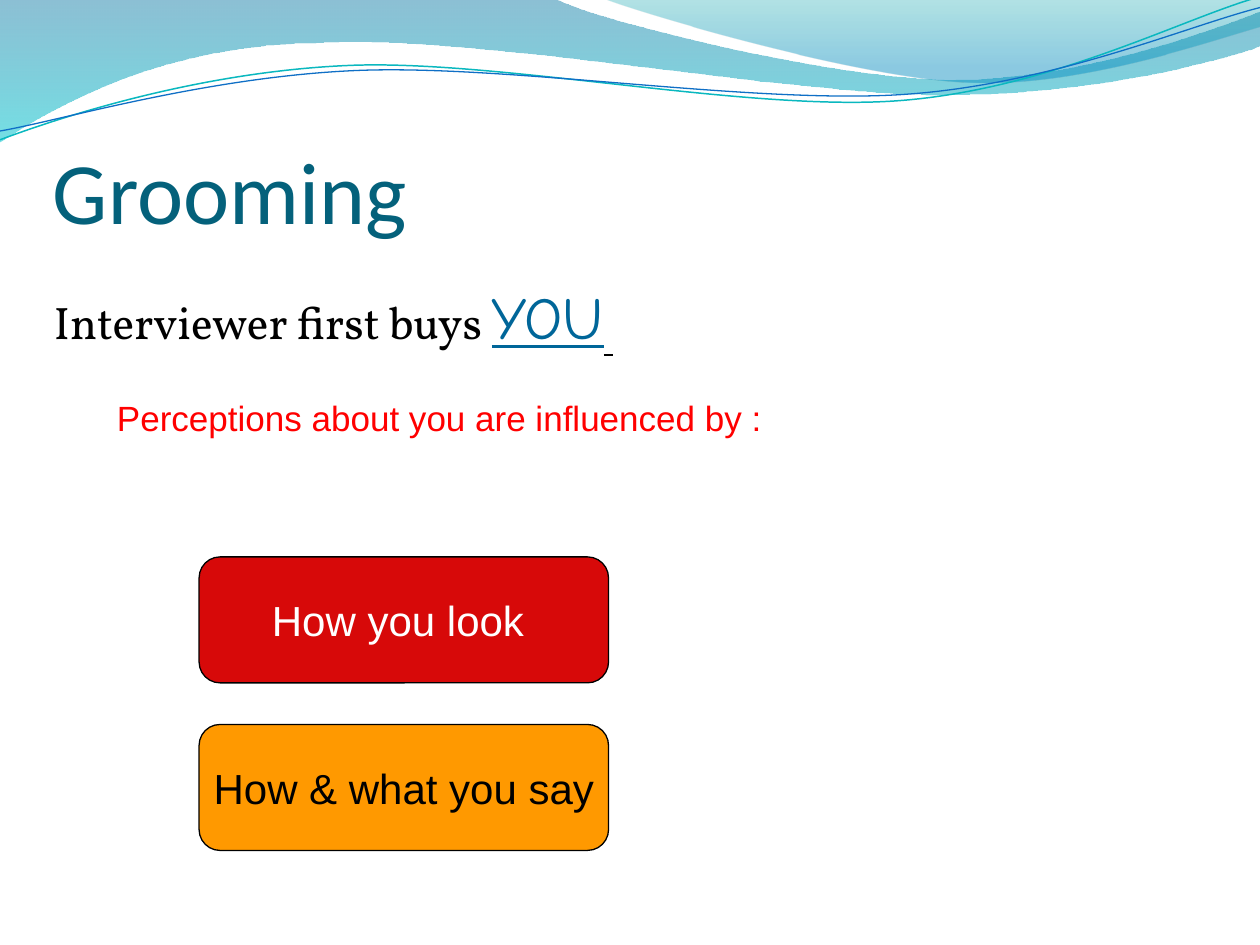
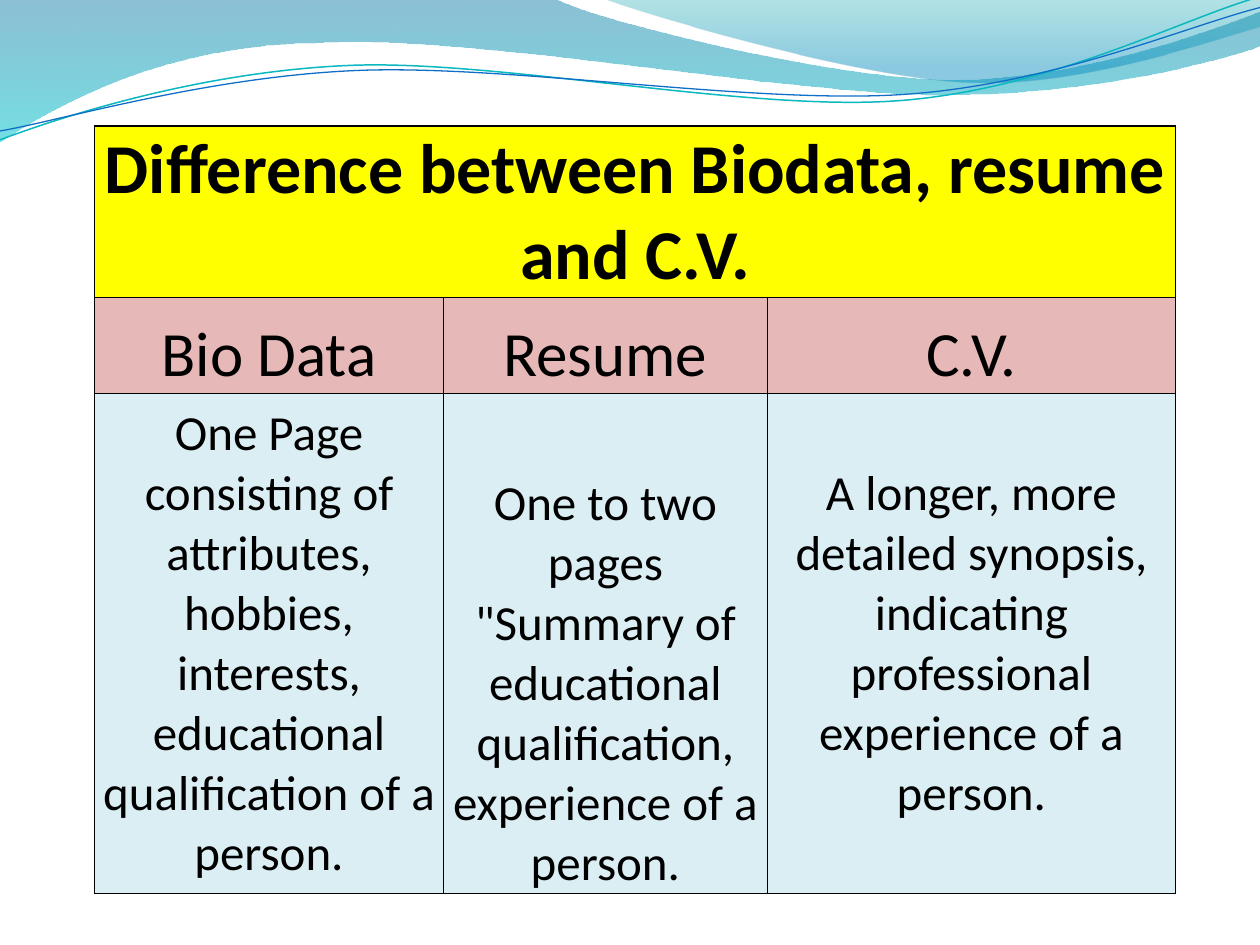
from dataclasses import dataclass

from lxml import etree
from pptx import Presentation
from pptx.dml.color import RGBColor
from pptx.enum.shapes import MSO_SHAPE
from pptx.enum.text import MSO_ANCHOR, PP_ALIGN
from pptx.oxml.ns import qn
from pptx.util import Inches, Pt

ROUNDED = MSO_SHAPE.ROUNDED_RECTANGLE
CENTER = PP_ALIGN.CENTER
MIDDLE, BOTTOM = MSO_ANCHOR.MIDDLE, MSO_ANCHOR.BOTTOM


@dataclass(frozen=True)
class Theme:
    heading: str = "Calibri"
    serif: str = "Vollkorn"
    script: str = "Comic Neue"
    sans: str = "Arial"
    black: str = "000000"
    white: str = "FFFFFF"
    title: str = "04617B"
    link: str = "006699"
    alert: str = "FF0000"
    red: str = "D70909"
    orange: str = "FF9900"
    yellow: str = "FFFF00"
    pink: str = "E6B9B8"
    pale: str = "DBEEF3"
    title_size: int = 50
    you_size: int = 34
    lead_size: int = 26
    note_size: int = 20
    button_size: int = 24
    banner_size: int = 40
    column_size: int = 36
    cell_size: int = 28


T = Theme()

# Each outline is a start point, then lines (x, y) or cubic curves (x1, y1, x2, y2, x, y).
# Each gradient stop is position, colour and opacity in percent.
WAVES = [
    ([(0, -0.01), (4.4, -0.01), (4.76, 0.17, 6.64, 0.63, 7.58, 0.63),
      (8.53, 0.63, 9.58, 0.26, 10, 0.09), (10.01, 0.36),
      (9.83, 0.44, 8.7, 0.76, 7.46, 0.75), (6.22, 0.75, 3.82, 0.28, 2.57, 0.34),
      (1.29, 0.35, 0.46, 0.83, -0.01, 1.13), (0, -0.01)],
     [(0, "0074A1", 45), (1, "00C6CF", 55)]),
    ([(4.79, -0.01), (5.09, 0.11, 6.82, 0.62, 7.69, 0.65),
      (8.56, 0.69, 9.61, 0.32, 10, 0.21), (10, 0), (4.79, -0.01)],
     [(0, "00A1A9", 30), (0.8, "008BBF", 45)]),
]
STRANDS = [
    ([(0, 1.11), (0.48, 0.93, 1.58, 0.57, 2.77, 0.52),
      (3.95, 0.47, 5.93, 0.89, 7.13, 0.8), (8.33, 0.71, 9.38, 0.15, 9.98, -0.02)],
     "0AB8BF", 0.85),
    ([(0, 1.04), (0.47, 0.96, 1.64, 0.61, 2.83, 0.56),
      (4.03, 0.51, 5.97, 0.83, 7.17, 0.75), (8.36, 0.67, 9.41, 0.21, 10, 0.06)],
     "0F6FC6", 0.75),
]


def rgb(code):
    return RGBColor.from_string(code)


def add_run(p, text, size, color=T.black, font=T.heading, bold=False, underline=False):
    r = p.add_run()
    r.text = text
    f = r.font
    f.name, f.size, f.bold, f.underline = font, Pt(size), bold, underline
    f.color.rgb = rgb(color)


def add_text_box(s, box, anchor=None, insets=(0.1, 0.05, 0.1, 0.05)):
    """Return the empty first paragraph of a new wrapping text box."""
    tf = s.shapes.add_textbox(*map(Inches, box)).text_frame
    tf.word_wrap = True
    tf.vertical_anchor = anchor
    tf.margin_left, tf.margin_top, tf.margin_right, tf.margin_bottom = map(Inches, insets)
    return tf.paragraphs[0]


def bend_segments(sp, segments):
    """Replace the straight segments that have control points by cubic curves."""
    lines = list(sp.element.iter(qn("a:lnTo")))
    for line, segment in zip(lines, segments):
        if len(segment) == 2:
            continue
        curve = etree.Element(qn("a:cubicBezTo"))
        for x, y in zip(segment[::2], segment[1::2]):
            etree.SubElement(curve, qn("a:pt"), x=str(Inches(x) - sp.left),
                             y=str(Inches(y) - sp.top))
        line.getparent().replace(line, curve)


def add_outline(s, outline, close):
    points = [(Inches(segment[-2]), Inches(segment[-1])) for segment in outline]
    builder = s.shapes.build_freeform(*points[0])
    builder.add_line_segments(points[1:], close=close)
    sp = builder.convert_to_shape()
    sp.shadow.inherit = False
    bend_segments(sp, outline[1:])
    return sp


def fill_gradient(sp, stops):
    """Fill from top to bottom with two translucent colours."""
    sp.fill.gradient()
    sp.fill.gradient_angle = 270
    for stop, (position, color, _) in zip(sp.fill.gradient_stops, stops):
        stop.position = position
        stop.color.rgb = rgb(color)
    colors = list(sp.element.spPr.iter(qn("a:srgbClr")))
    for clr, (_, _, opacity) in zip(colors, stops):
        etree.SubElement(clr, qn("a:alpha"), val=str(opacity * 1000))


def add_wave_header(s):
    for outline, stops in WAVES:
        sp = add_outline(s, outline, close=True)
        fill_gradient(sp, stops)
        sp.line.fill.background()
    for outline, color, width in STRANDS:
        sp = add_outline(s, outline, close=False)
        sp.fill.background()
        sp.line.color.rgb = rgb(color)
        sp.line.width = Pt(width)


def add_slide(prs):
    s = prs.slides.add_slide(prs.slide_layouts[6])
    add_wave_header(s)
    return s


def add_title(s, text, box=(0.42, 0.67, 9, 1.25)):
    p = add_text_box(s, box, BOTTOM, (0, 0.05, 0, 0))
    add_run(p, text, T.title_size, T.title)


def add_button(s, box, text, fill, color):
    sp = s.shapes.add_shape(ROUNDED, *map(Inches, box))
    sp.shadow.inherit = False
    sp.fill.solid()
    sp.fill.fore_color.rgb = rgb(fill)
    sp.line.color.rgb = rgb(T.black)
    sp.line.width = Pt(0.75)
    tf = sp.text_frame
    tf.word_wrap = False
    tf.vertical_anchor = MIDDLE
    p = tf.paragraphs[0]
    p.alignment = CENTER
    add_run(p, text, T.button_size, color, T.sans)


def add_button_stack(s, box, buttons, gap=0.33):
    """Stack buttons from the bottom of the box upwards."""
    left, top, width, height = box
    step = (height + gap) / len(buttons)
    for i, button in enumerate(buttons, start=1):
        add_button(s, (left, top + height + gap - i * step, width, step - gap), *button)


def set_borders(cell, **widths):
    """Draw black borders; widths are points by side L, R, T or B."""
    tcPr = cell._tc.get_or_add_tcPr()
    for i, side in enumerate("LRTB"):
        ln = etree.Element(qn(f"a:ln{side}"), w=str(Pt(widths.get(side, 0.5))))
        fill = etree.SubElement(ln, qn("a:solidFill"))
        etree.SubElement(fill, qn("a:srgbClr"), val=T.black)
        tcPr.insert(i, ln)


def format_cell(cell, text, fill, size, anchor=BOTTOM, bold=False, bottom=0):
    cell.fill.solid()
    cell.fill.fore_color.rgb = rgb(fill)
    cell.vertical_anchor = anchor
    cell.margin_left = cell.margin_top = cell.margin_right = Inches(0.01)
    cell.margin_bottom = Inches(bottom)
    p = cell.text_frame.paragraphs[0]
    p.alignment = CENTER
    if text:
        add_run(p, text, size, bold=bold)


def add_comparison_table(s, left, top, heading, columns):
    """Columns hold width, name, description and the description's anchor."""
    row_heights = (1.36, 0.76, 3.97)
    widths = [column[0] for column in columns]
    table = s.shapes.add_table(len(row_heights), len(columns), Inches(left), Inches(top),
                               Inches(sum(widths)), Inches(sum(row_heights))).table
    table.first_row = table.horz_banding = False
    for row, height in zip(table.rows, row_heights):
        row.height = Inches(height)
    for i, (width, name, description, anchor) in enumerate(columns):
        table.columns[i].width = Inches(width)
        format_cell(table.cell(0, i), "" if i else heading, T.yellow, T.banner_size,
                    bold=True, bottom=0.01)
        format_cell(table.cell(1, i), name, T.pink, T.column_size)
        format_cell(table.cell(2, i), description, T.pale, T.cell_size, anchor)
        set_borders(table.cell(0, i), L=1, R=1, T=1)
        for row in (1, 2):
            set_borders(table.cell(row, i))
    table.cell(0, 0).merge(table.cell(0, len(columns) - 1))


def build_grooming(prs):
    s = add_slide(prs)
    p = add_text_box(s, (0.33, 2.17, 9, 0.83))
    add_run(p, "Interviewer first buys ", T.lead_size, font=T.serif)
    add_run(p, "YOU", T.you_size, T.link, T.script, underline=True)
    add_run(p, " ", T.lead_size, font=T.serif, underline=True)
    p = add_text_box(s, (0.83, 3.05, 7.95, 0.54), insets=(0.1,) * 4)
    add_run(p, "Perceptions about you are influenced by :", T.note_size, T.alert, T.sans)
    add_button_stack(s, (1.58, 4.42, 3.25, 2.33), [
        ("How & what you say", T.orange, T.black),
        ("How you look ", T.red, T.white),
    ])
    add_title(s, "Grooming")


def build_comparison(prs):
    s = add_slide(prs)
    add_comparison_table(s, 0.75, 1, "Difference between Biodata, resume and C.V.", [
        (2.77, "Bio Data", "One Page consisting of attributes, hobbies, interests, "
                           "educational qualification of a person.", MIDDLE),
        (2.57, "Resume", 'One to two pages "Summary of educational qualification, '
                         'experience of a person.', BOTTOM),
        (3.24, "C.V.", "A longer, more detailed synopsis, indicating professional "
                       "experience of a person.", MIDDLE),
    ])


def main():
    prs = Presentation()
    prs.slide_width, prs.slide_height = Inches(10), Inches(7.5)
    build_grooming(prs)
    build_comparison(prs)
    prs.save("out.pptx")


if __name__ == "__main__":
    main()
